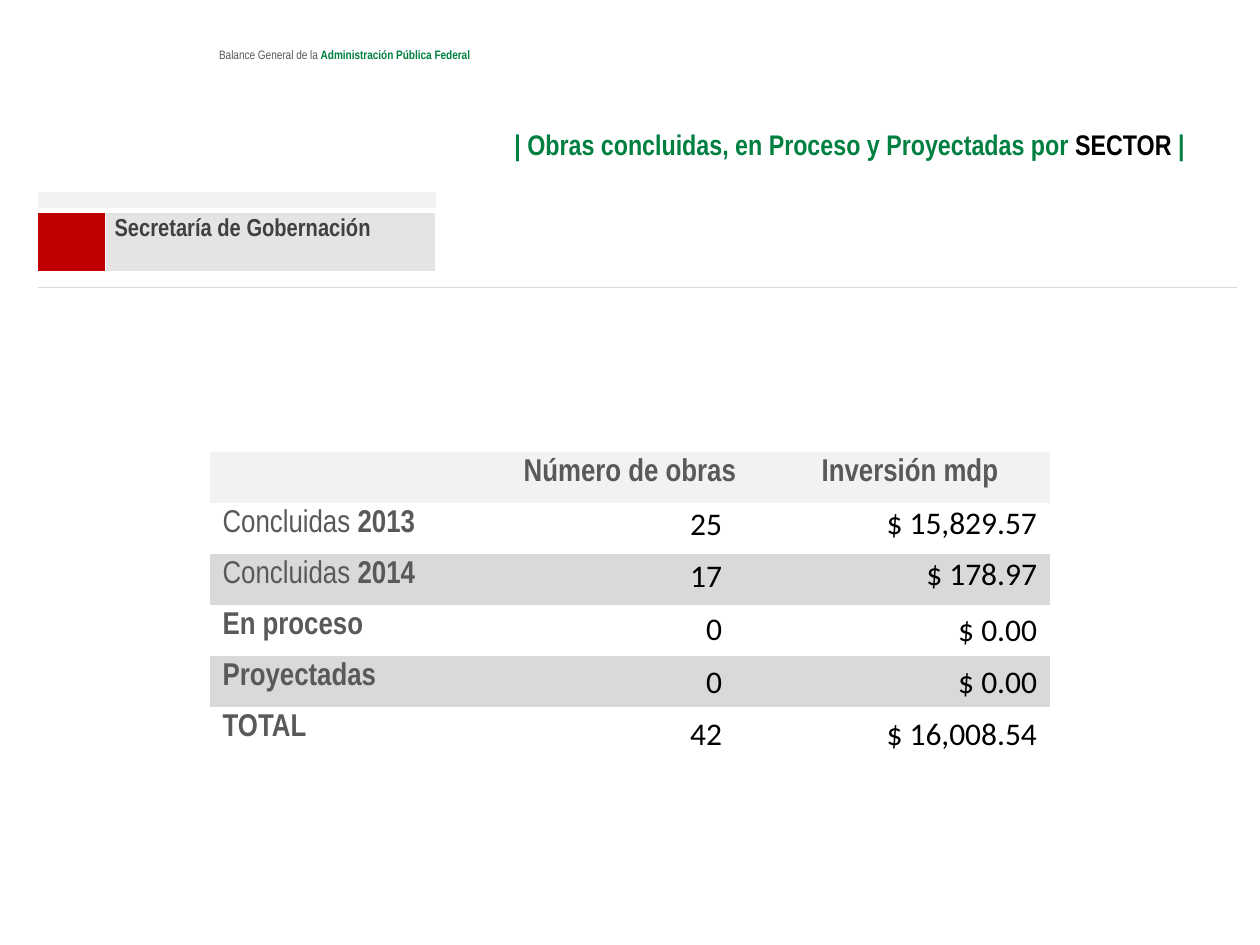
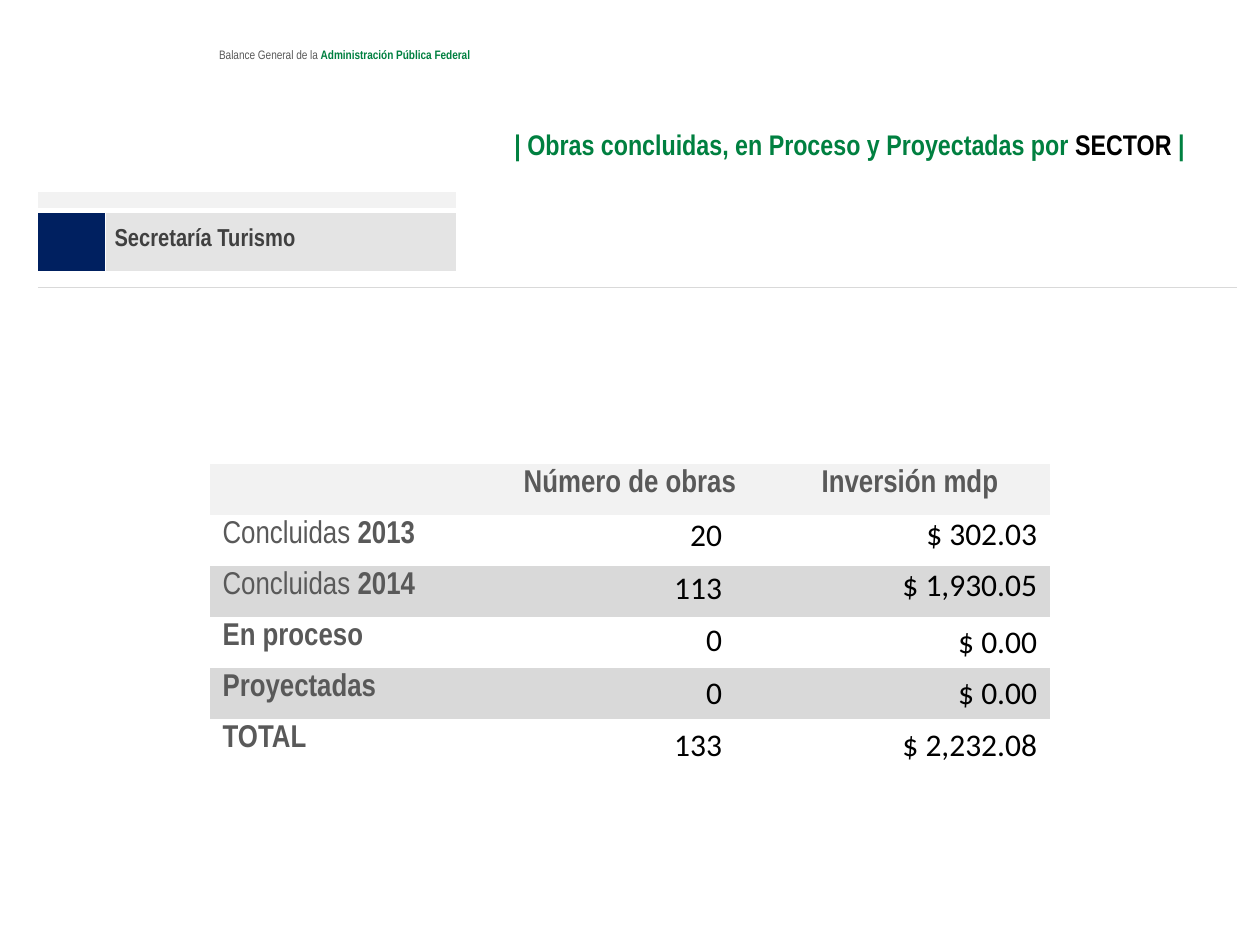
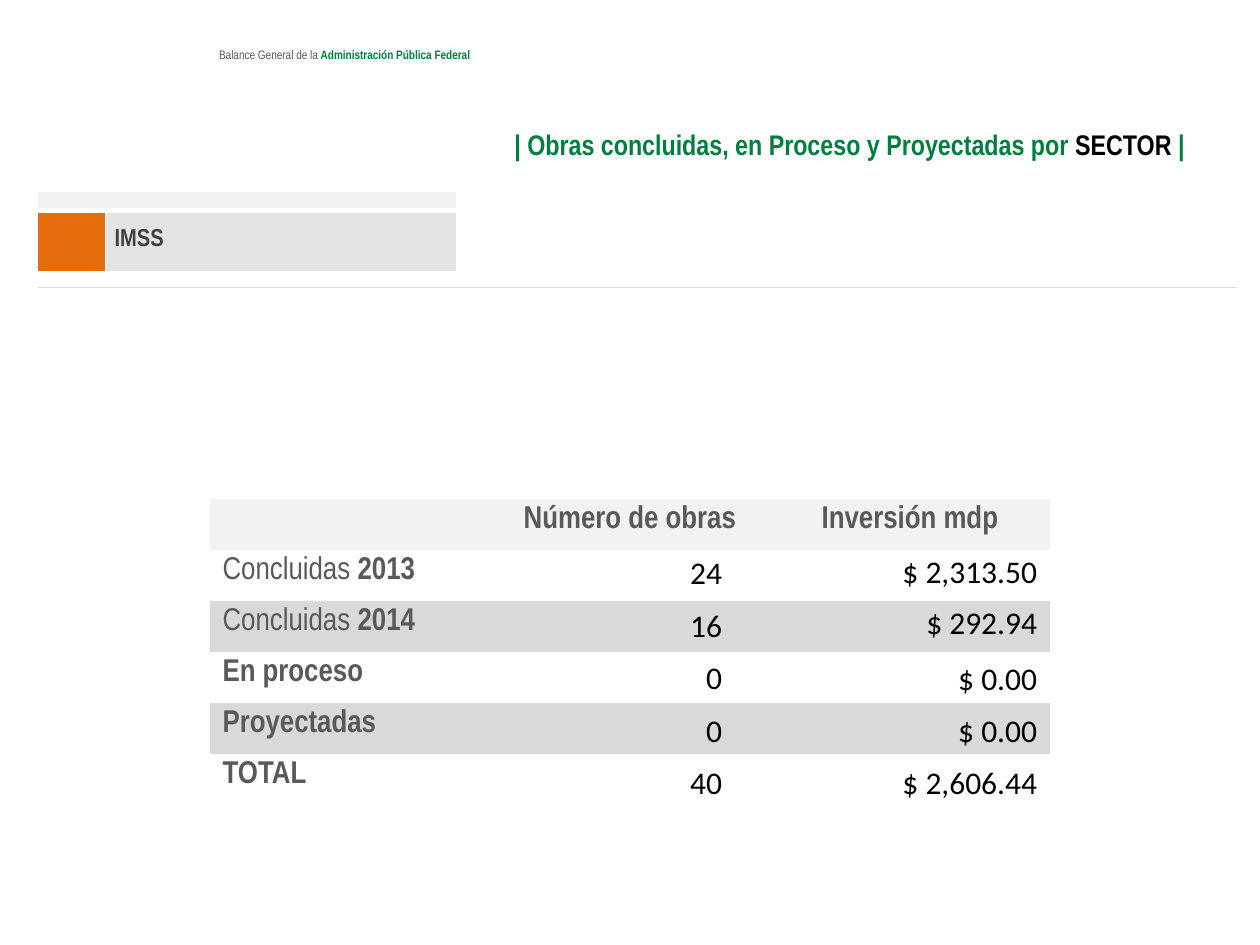
from dataclasses import dataclass

from lxml.etree import SubElement
from pptx import Presentation
from pptx.dml.color import RGBColor
from pptx.enum.text import MSO_ANCHOR as Anchor, PP_ALIGN as Align
from pptx.oxml.ns import qn
from pptx.util import Inches, Pt


@dataclass(frozen=True)
class Theme:
    green: str = "008040"
    black: str = "000000"
    white: str = "FFFFFF"
    text: str = "595959"
    sector_text: str = "404040"
    header_fill: str = "F2F2F2"
    sector_fill: str = "E4E4E4"
    band: str = "D9D9D9"
    narrow: str = "Arial Narrow"
    figures: str = "Calibri"
    label_size: float = 7
    title_size: float = 16.2
    sector_size: float = 14
    table_size: float = 18
    plain_table: str = "{2D5ABB26-0587-4C30-8999-92F81FD0307C}"


theme = Theme()
WIDTH, HEIGHT = 10, 7.5
TABLE_LEFT, TABLE_WIDTH = WIDTH / 6, WIDTH * 2 / 3
ROW_HEIGHT = 0.405
VALUE_STEP = 0.417
MONEY_NUDGES = [-0.01, -0.02, 0.01, 0, 0]
BAND_LEFT, BAND_TOP, BAND_WIDTH = 0.3, 1.52, 9.52
SWATCH_WIDTH = 0.54
BAND_ROWS = [0.15, 0.5, 0.11, 5]

LABEL = [("Balance General de la ", theme.text, False),
         ("Administración Pública Federal", theme.green, True)]
TITLE = [("| Obras concluidas, en Proceso y Proyectadas por ", theme.green, True),
         ("SECTOR ", theme.black, True), ("|", theme.green, True)]
HEADINGS = ["Número de obras", "Inversión mdp"]
ROW_LABELS = [[("Concluidas ", theme.text, False), ("2013", theme.text, True)],
              [("Concluidas ", theme.text, False), ("2014", theme.text, True)],
              [("En proceso", theme.text, True)],
              [("Proyectadas", theme.text, True)],
              [("TOTAL", theme.text, True)]]

SECTORS = [
    dict(name="Secretaría de Gobernación", color="C00000", name_width=2.62,
         name_lift=0.16, table_top=3.59, values_top=3.95,
         works=["25", "17", "0", "0", "42"],
         money=["$ 15,829.57", "$ 178.97", "$ 0.00", "$ 0.00", "$ 16,008.54"]),
    dict(name="Secretaría Turismo", color="002060", name_width=2.78,
         name_lift=0, table_top=3.68, values_top=4.04,
         works=["20", "113", "0", "0", "133"],
         money=["$ 302.03", "$ 1,930.05", "$ 0.00", "$ 0.00", "$ 2,232.08"]),
    dict(name="IMSS", color="E46C0A", name_width=2.78,
         name_lift=0, table_top=3.96, values_top=4.34,
         works=["24", "16", "0", "0", "40"],
         money=["$ 2,313.50", "$ 292.94", "$ 0.00", "$ 0.00", "$ 2,606.44"]),
]


def write(frame, runs, size, font=theme.narrow, align=Align.LEFT, spacing=None):
    """Fill the first paragraph with runs of (text, colour, bold)."""
    para = frame.paragraphs[0]
    para.alignment = align
    para.line_spacing = spacing
    for text, color, bold in runs:
        span = para.add_run()
        span.text = text
        span.font.name = font
        span.font.size = Pt(size)
        span.font.bold = bold
        span.font.color.rgb = RGBColor.from_string(color)


def add_text(page, left, top, width, height, runs, anchor=Anchor.TOP, **text_format):
    box = page.shapes.add_textbox(*map(Inches, (left, top, width, height)))
    box.text_frame.word_wrap = True
    box.text_frame.vertical_anchor = anchor
    write(box.text_frame, runs, **text_format)


deck = Presentation()
deck.slide_width, deck.slide_height = Inches(WIDTH), Inches(HEIGHT)

for sector in SECTORS:
    page = deck.slides.add_slide(deck.slide_layouts[6])
    add_text(page, 1.64, 0.35, 4.49, 0.2, LABEL, size=theme.label_size, spacing=0.8)

    # Empty tables without a style
    band_table = page.shapes.add_table(
        4, 3, Inches(BAND_LEFT), Inches(BAND_TOP),
        Inches(BAND_WIDTH), Inches(sum(BAND_ROWS))).table
    works_table = page.shapes.add_table(
        6, 3, Inches(TABLE_LEFT), Inches(sector["table_top"]),
        Inches(TABLE_WIDTH), Inches(6 * ROW_HEIGHT)).table
    name_width = sector["name_width"]
    band_columns = [SWATCH_WIDTH, name_width, BAND_WIDTH - SWATCH_WIDTH - name_width]
    for table, columns, rows in [(band_table, band_columns, BAND_ROWS),
                                 (works_table, [TABLE_WIDTH / 3] * 3, [ROW_HEIGHT] * 6)]:
        table.first_row = table.horz_banding = False
        table._tbl.tblPr.find(qn("a:tableStyleId")).text = theme.plain_table
        for column, width in zip(table.columns, columns):
            column.width = Inches(width)
        for row, height in zip(table.rows, rows):
            row.height = Inches(height)

    # Sector band: cells, borders, fills
    for row in band_table.rows:
        for cell in row.cells:
            cell.margin_top = cell.margin_bottom = 0
            SubElement(cell.text_frame.paragraphs[0]._p, qn("a:endParaRPr"), sz="100")
    for row, last_column in [(0, 1), (2, 1), (3, 2)]:
        band_table.cell(row, 0).merge(band_table.cell(row, last_column))
    borders = [(1, 0, "a:lnR", theme.white, 0.5), (1, 1, "a:lnL", theme.white, 0.5)]
    for column in range(3):
        borders += [(0, column, "a:lnB", theme.white, 3),
                    (1, column, "a:lnT", theme.white, 3),
                    (2, column, "a:lnB", theme.band, 0.25),
                    (3, column, "a:lnT", theme.band, 0.25)]
    for row, column, side, color, weight in borders:
        properties = band_table.cell(row, column)._tc.get_or_add_tcPr()
        line = SubElement(properties, qn(side), w=str(Pt(weight)))
        SubElement(SubElement(line, qn("a:solidFill")), qn("a:srgbClr"), val=color)
    for row, column, color in [(0, 0, theme.header_fill), (0, 1, theme.header_fill),
                               (1, 0, sector["color"]), (1, 1, theme.sector_fill),
                               (2, 0, theme.white), (2, 1, theme.white),
                               (2, 2, theme.white)]:
        fill = band_table.cell(row, column).fill
        fill.solid()
        fill.fore_color.rgb = RGBColor.from_string(color)
    name_cell = band_table.cell(1, 1)
    name_cell.vertical_anchor = Anchor.MIDDLE
    name_cell.margin_left = name_cell.margin_right = Inches(0.07)
    name_cell.margin_bottom = Inches(sector["name_lift"])
    write(name_cell.text_frame, [(sector["name"], theme.sector_text, True)],
          size=theme.sector_size, spacing=Pt(11))

    add_text(page, 0.5, 0.91, 9, 0.43, TITLE, anchor=Anchor.MIDDLE,
             size=theme.title_size, align=Align.RIGHT, spacing=1.15)

    # Works table: headings, row labels, striped rows
    for column, heading in enumerate(HEADINGS, start=1):
        write(works_table.cell(0, column).text_frame, [(heading, theme.text, True)],
              size=theme.table_size, align=Align.CENTER)
    for row, label in enumerate(ROW_LABELS, start=1):
        write(works_table.cell(row, 0).text_frame, label, size=theme.table_size)
    for row, color in [(0, theme.header_fill), (2, theme.band), (4, theme.band)]:
        for cell in works_table.rows[row].cells:
            cell.fill.solid()
            cell.fill.fore_color.rgb = RGBColor.from_string(color)

    # Figures laid over the table rows
    for index, nudge in enumerate(MONEY_NUDGES):
        top = sector["values_top"] + index * VALUE_STEP
        for left, width, value_top, value in [
                (4.16, 1.67, top, sector["works"][index]),
                (6.57, 1.76, top + nudge, sector["money"][index])]:
            add_text(page, left, value_top, width, 0.4, [(value, theme.black, False)],
                     size=theme.table_size, font=theme.figures, align=Align.RIGHT)

deck.save("out.pptx")
